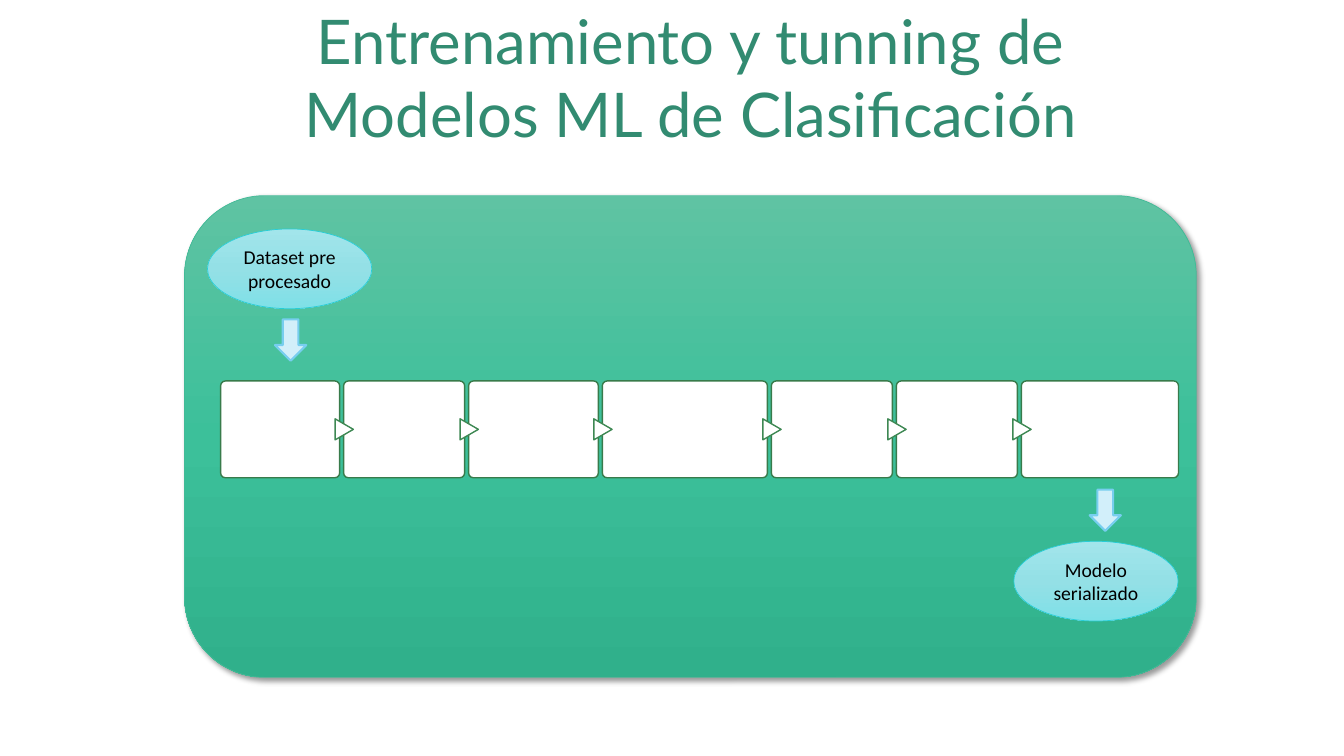
import copy

import pptx
import pptx.dml.color
import pptx.enum.shapes
import pptx.enum.text
import pptx.oxml
import pptx.oxml.ns
import pptx.util
from pptx.util import Cm

COLORS = {
    "title": "328B71",
    "text": "000000",
    "panel": ["5FC3A3", "3CC09A", "30B08B"],
    "panel line": "42BA97",
    "data": ["A2E5EB", "94E0E6", "7FE0E7"],
    "data line": "27CED7",
    "step": "FFFFFF",
    "step line": "387B4B",
    "marker line": "3E8853",
    "arrow": "D2EFFA",
    "arrow line": "77CEEF",
}
SHAPES = pptx.enum.shapes.MSO_SHAPE
rgb = pptx.dml.color.RGBColor.from_string

deck = pptx.Presentation()
deck.slide_width, deck.slide_height = Cm(33.87), Cm(19.05)
page = deck.slides.add_slide(deck.slide_layouts[6])


def add_figure(kind, left, top, width, height, name, line_name, line_width):
    """Add a shape; a list of three colours becomes a top-down gradient."""
    shape = page.shapes.add_shape(kind, Cm(left), Cm(top), Cm(width), Cm(height))
    shape.shadow.inherit = False
    shape.line.color.rgb = rgb(COLORS[line_name])
    shape.line.width = pptx.util.Pt(line_width)
    color = COLORS[name]
    if isinstance(color, str):
        shape.fill.solid()
        shape.fill.fore_color.rgb = rgb(color)
        return shape
    shape.fill.gradient()
    shape.fill.gradient_angle = 270
    stop_list = shape._element.spPr.find(".//" + pptx.oxml.ns.qn("a:gsLst"))
    stop_list.insert(1, copy.deepcopy(stop_list[0]))
    for index, stop in enumerate(shape.fill.gradient_stops):
        stop.position = index / 2
        stop.color.rgb = rgb(color[index])
    return shape


def write_text(shape, text, font, size, color):
    frame = shape.text_frame
    frame.word_wrap = True
    frame.vertical_anchor = pptx.enum.text.MSO_ANCHOR.MIDDLE
    frame.text = text
    para = frame.paragraphs[0]
    para.alignment = pptx.enum.text.PP_ALIGN.CENTER
    span = para.runs[0]
    span.font.name = font
    span.font.size = pptx.util.Pt(size)
    span.font.color.rgb = rgb(color)


title = page.shapes.add_textbox(Cm(6.96), Cm(-0.08), Cm(20.9), Cm(4.01))
write_text(title, "Entrenamiento y tunning de Modelos ML de Clasificación",
           "Lato", 44, COLORS["title"])

panel = add_figure(SHAPES.ROUNDED_RECTANGLE, 4.65, 4.93, 25.5, 12.14,
                   "panel", "panel line", 0.5)
effects = panel._element.spPr.find(pptx.oxml.ns.qn("a:effectLst"))
effects.append(pptx.oxml.parse_xml(
    f'<a:outerShdw {pptx.oxml.ns.nsdecls("a")} blurRad="50800" dist="38100" '
    'dir="2700000" algn="tl" rotWithShape="0">'
    '<a:srgbClr val="000000"><a:alpha val="40000"/></a:srgbClr></a:outerShdw>'))

for text, left, top in [("Dataset pre procesado", 5.23, 5.77),
                        ("Modelo serializado", 25.55, 13.64)]:
    data = add_figure(SHAPES.OVAL, left, top, 4.14, 2.01, "data", "data line", 0.5)
    data.text_frame.margin_left = data.text_frame.margin_right = 0
    write_text(data, text, "Calibri", 14, COLORS["text"])

# Pipeline steps, each after the first with a marker on its left edge
step_left, step_gap = 5.56, 0.1
for index, step_width in enumerate([3, 3.05, 3.27, 4.16, 3.05, 3.05, 3.96]):
    step = add_figure(SHAPES.ROUNDED_RECTANGLE, step_left, 9.6, step_width, 2.44,
                      "step", "step line", 1)
    step.adjustments[0] = 0.05
    if index:
        marker = add_figure(SHAPES.FLOWCHART_EXTRACT, step_left - 0.25, 10.59,
                            0.53, 0.46, "step", "marker line", 1)
        marker.rotation = 90
    step_left += step_width + step_gap

for left, top in [(6.93, 8.05), (27.46, 12.34)]:
    add_figure(SHAPES.DOWN_ARROW, left, top, 0.79, 1.04, "arrow", "arrow line", 1.5)

deck.save("out.pptx")
